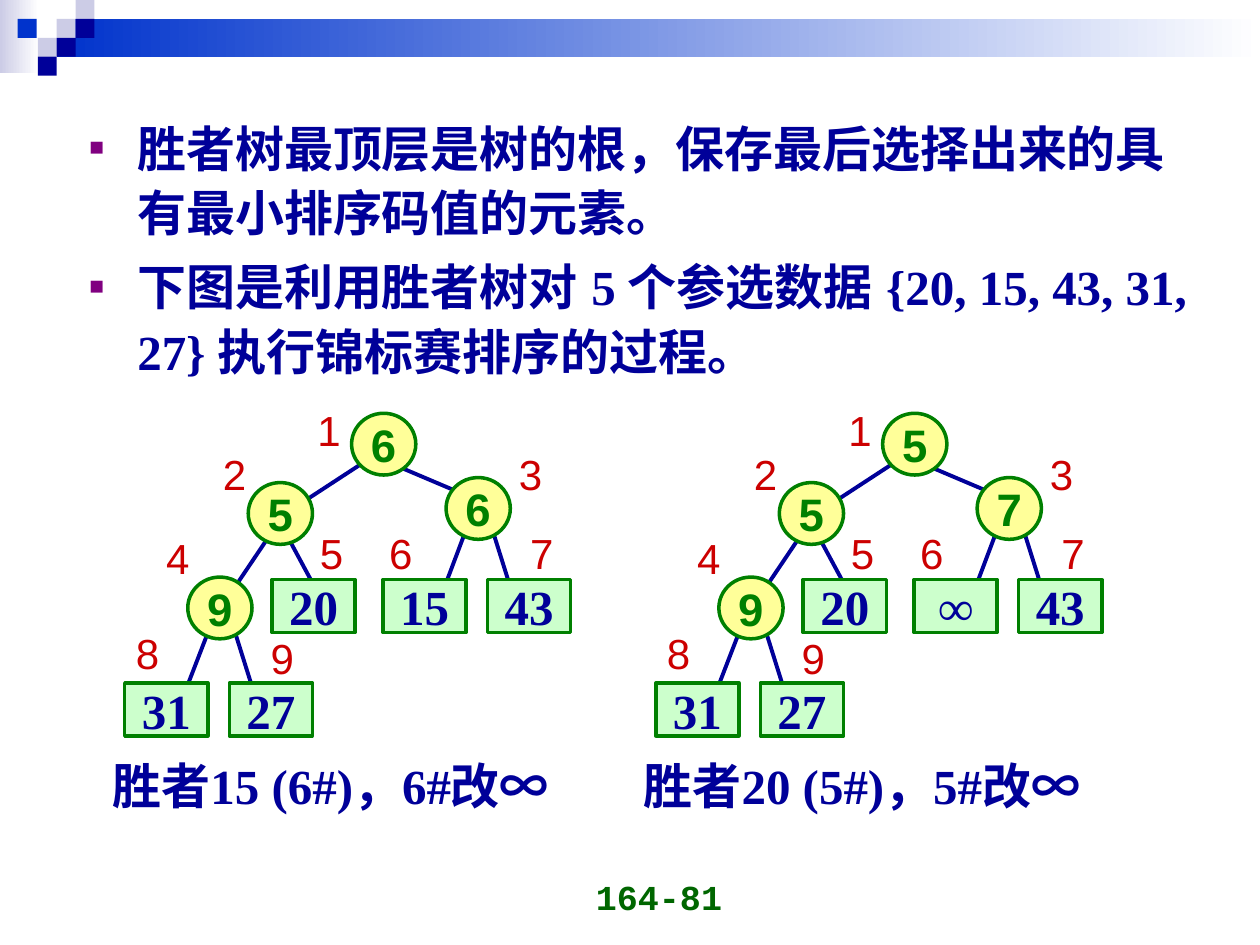
from typing import NamedTuple

from pptx import Presentation
from pptx.dml.color import RGBColor
from pptx.enum.shapes import MSO_CONNECTOR as Link, MSO_SHAPE as Kind
from pptx.enum.text import MSO_ANCHOR as Anchor, MSO_AUTO_SIZE as Fit
from pptx.enum.text import PP_ALIGN as Align
from pptx.oxml.ns import qn
from pptx.util import Inches, Pt
from lxml.etree import SubElement

NAVY, BLUE, PALE = "000099", "0033CC", "CCCCE6"
GREEN, RED, WHITE = "008000", "CC0000", "FFFFFF"
SERIF, SANS, HAN = "Times New Roman", "Arial", "Noto Sans CJK SC"
SHIFT = 4.215


class Style(NamedTuple):
    font: str
    size: float
    color: str
    bold: bool = True
    east: str = SANS


class Look(NamedTuple):
    kind: Kind
    wide: float
    high: float
    fill: str
    style: Style


class Spot(NamedTuple):
    x: float
    y: float


class Edge(NamedTuple):
    start: Spot
    end: Spot


class Tree(NamedTuple):
    left: float
    wins: tuple
    leaves: tuple
    note: str


BODY = Style(SERIF, 28, NAVY)
MARK = Style(SANS, 24, RED, False)
WIN = Look(Kind.OVAL, 0.51, 0.49, "FFFF99", Style(SANS, 26, GREEN))
LEAF = Look(Kind.RECTANGLE, 0.66, 0.42, "CCFFCC", BODY)

WINS = (Spot(2.79, 3.28), Spot(1.97, 3.83), Spot(3.54, 3.79), Spot(1.49, 4.58))
LEAVES = (Spot(2.16, 4.6), Spot(3.04, 4.6), Spot(3.87, 4.6),
          Spot(0.99, 5.42), Spot(1.82, 5.42))
MARKS = (Spot(2.42, 3.16), Spot(1.67, 3.51), Spot(4.02, 3.51),
         Spot(1.22, 4.18), Spot(2.44, 4.14), Spot(2.99, 4.14),
         Spot(4.11, 4.14), Spot(0.98, 4.93), Spot(2.05, 4.97))
EDGES = (
    Edge(Spot(2.99, 3.63), Spot(3.98, 4.05)),
    Edge(Spot(3.07, 3.55), Spot(2.32, 4.04)),
    Edge(Spot(2.24, 4.18), Spot(2.52, 4.7)),
    Edge(Spot(1.67, 4.97), Spot(1.38, 5.72)),
    Edge(Spot(3.78, 3.99), Spot(3.49, 4.76)),
    Edge(Spot(3.9, 4.18), Spot(4.12, 4.88)),
    Edge(Spot(1.85, 4.97), Spot(2.07, 5.67)),
    Edge(Spot(1.81, 4.74), Spot(2.16, 4.22)),
)
TREES = (
    Tree(0, ("6", "5", "6", "9"), ("20", "15", "43", "31", "27"),
         "15 (6#)，6#改"),
    Tree(SHIFT, ("5", "5", "7", "9"), ("20", "∞", "43", "31", "27"),
         "20 (5#)，5#改"),
)
POINTS = (
    "胜者树最顶层是树的根，保存最后选择出来的具有最小排序码值的元素。",
    "下图是利用胜者树对 5 个参选数据 {20, 15, 43, 31, 27} 执行锦标赛排序的过程。",
)
CELLS = ((0.45, 0.15, PALE), (0.6, 0, PALE), (0.6, 0.15, NAVY),
         (0.3, 0.3, PALE), (0.14, 0.15, BLUE), (0.45, 0.3, NAVY),
         (0.3, 0.45, NAVY))


def rgb(code: str) -> RGBColor:
    return RGBColor.from_string(code)


def dress(run, style: Style) -> None:
    font = run.font
    font.name, font.size, font.bold = style.font, Pt(style.size), style.bold
    font.color.rgb = rgb(style.color)
    east = SubElement(run._r.get_or_add_rPr(), qn("a:ea"))
    east.set("typeface", style.east)


def block(slide, x: float, y: float, wide: float, high: float):
    shape = slide.shapes.add_shape(
        Kind.RECTANGLE, Inches(x), Inches(y), Inches(wide), Inches(high))
    shape.shadow.inherit = False
    shape.line.fill.background()
    return shape


def fade(shape, code: str) -> None:
    shape.fill.gradient()
    shape.fill.gradient_angle = 0
    for stop, tone in zip(shape.fill.gradient_stops, (code, WHITE)):
        stop.color.rgb = rgb(tone)


def banner(slide) -> None:
    fade(block(slide, 0, 0, 0.31, 0.58), PALE)
    fade(block(slide, 0.45, 0.15, 9.55, 0.3), BLUE)
    for x, y, code in CELLS:
        cell = block(slide, x, y, 0.15, 0.15)
        cell.fill.solid()
        cell.fill.fore_color.rgb = rgb(code)


def bullet(para) -> None:
    props = para._p.get_or_add_pPr()
    props.set("marL", str(Inches(0.38)))
    props.set("indent", str(-Inches(0.38)))
    tint = SubElement(props, qn("a:buClr"))
    SubElement(tint, qn("a:srgbClr")).set("val", "800080")
    SubElement(props, qn("a:buSzPct")).set("val", "50000")
    SubElement(props, qn("a:buFont")).set("typeface", SANS)
    SubElement(props, qn("a:buChar")).set("char", "■")


def points(slide) -> None:
    body = slide.placeholders[1]
    body.left, body.top = Inches(0.61), Inches(0.84)
    body.width, body.height = Inches(8.96), Inches(2.44)
    frame = body.text_frame
    frame.text = "\n".join(POINTS)
    for num, para in enumerate(frame.paragraphs):
        bullet(para)
        para.line_spacing = 1.1
        para.space_before = Pt(5.2 if num else 0)
        dress(para.runs[0], BODY)


def label(slide, spot: Spot, wide: float, high: float, text: str,
          style: Style):
    box = slide.shapes.add_textbox(
        Inches(spot.x), Inches(spot.y), Inches(wide), Inches(high))
    frame = box.text_frame
    frame.word_wrap = True
    frame.text = text
    dress(frame.paragraphs[0].runs[0], style)
    return frame


def edge(slide, left: float, item: Edge) -> None:
    start, end = item
    line = slide.shapes.add_connector(
        Link.STRAIGHT, Inches(left + start.x), Inches(start.y),
        Inches(left + end.x), Inches(end.y))
    line.line.color.rgb = rgb(NAVY)
    line.line.width = Pt(2.25)
    SubElement(line._element.spPr, qn("a:effectLst"))


def node(slide, left: float, spot: Spot, text: str, look: Look) -> None:
    shape = slide.shapes.add_shape(
        look.kind, Inches(left + spot.x), Inches(spot.y),
        Inches(look.wide), Inches(look.high))
    shape.shadow.inherit = False
    shape.fill.solid()
    shape.fill.fore_color.rgb = rgb(look.fill)
    shape.line.color.rgb = rgb(GREEN)
    shape.line.width = Pt(2)
    frame = shape.text_frame
    frame.word_wrap = False
    frame.vertical_anchor = Anchor.MIDDLE
    frame.text = text
    para = frame.paragraphs[0]
    para.alignment = Align.CENTER
    dress(para.runs[0], look.style)


def note(slide, tree: Tree) -> None:
    spot = Spot(tree.left + 0.61, 5.95)
    frame = label(slide, spot, 4.03, 0.57, "胜者", Style(SANS, 28, NAVY))
    frame.word_wrap = False
    frame.auto_size = Fit.SHAPE_TO_FIT_TEXT
    para = frame.paragraphs[0]
    para.alignment = Align.CENTER
    for text, style in ((tree.note, BODY),
                        ("∞", Style(HAN, 28, NAVY, east=HAN))):
        run = para.add_run()
        run.text = text
        dress(run, style)


def draw(slide, tree: Tree) -> None:
    for num, spot in enumerate(MARKS, 1):
        label(slide, Spot(tree.left + spot.x, spot.y), 0.5, 0.5, str(num), MARK)
    for item in EDGES:
        edge(slide, tree.left, item)
    for spots, texts, look in ((WINS, tree.wins, WIN),
                               (LEAVES, tree.leaves, LEAF)):
        for spot, text in zip(spots, texts):
            node(slide, tree.left, spot, text, look)
    note(slide, tree)


def main() -> None:
    deck = Presentation()
    deck.slide_width, deck.slide_height = Inches(10), Inches(7.5)
    slide = deck.slides.add_slide(deck.slide_layouts[1])
    title = slide.shapes.title._element
    title.getparent().remove(title)
    banner(slide)
    points(slide)
    for tree in TREES:
        draw(slide, tree)
    page = label(slide, Spot(3.5, 6.83), 2.33, 0.5, "164-81",
                 Style("Courier New", 20, "006600"))
    page.vertical_anchor = Anchor.BOTTOM
    page.paragraphs[0].alignment = Align.RIGHT
    deck.save("out.pptx")


if __name__ == "__main__":
    main()
